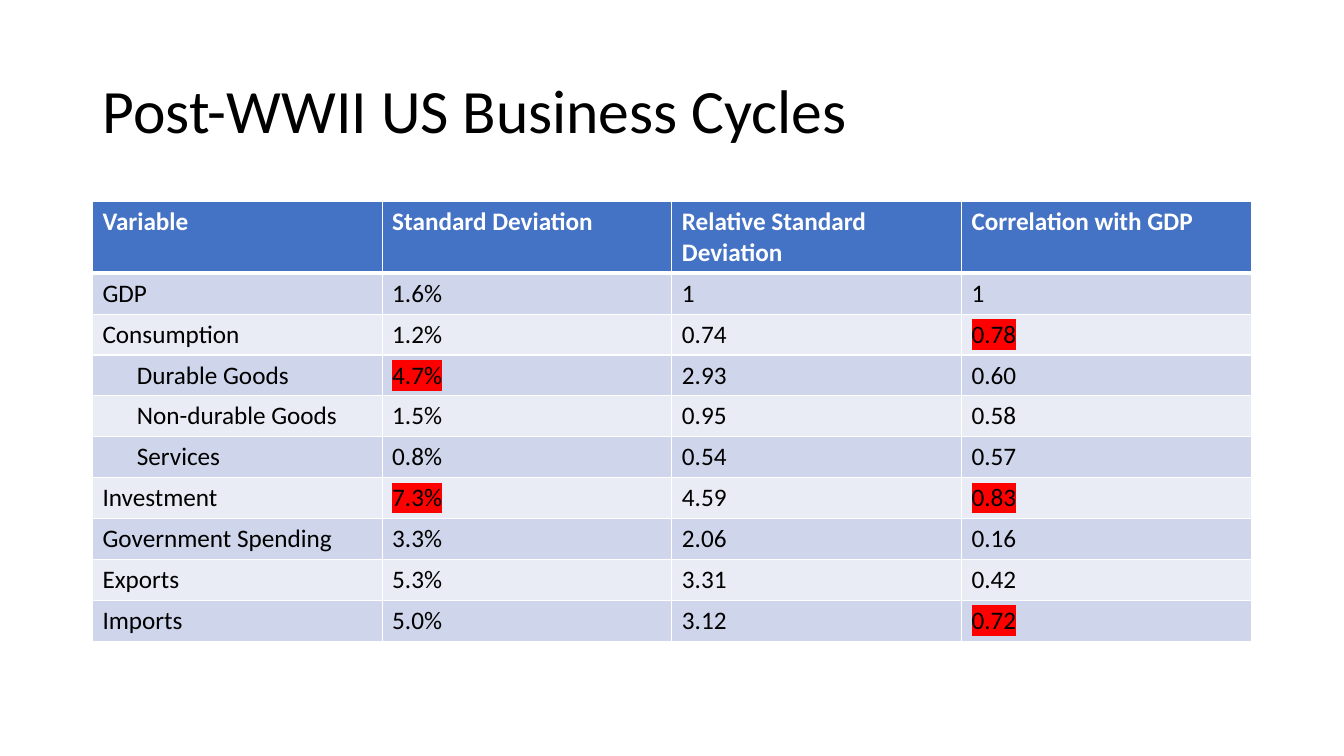
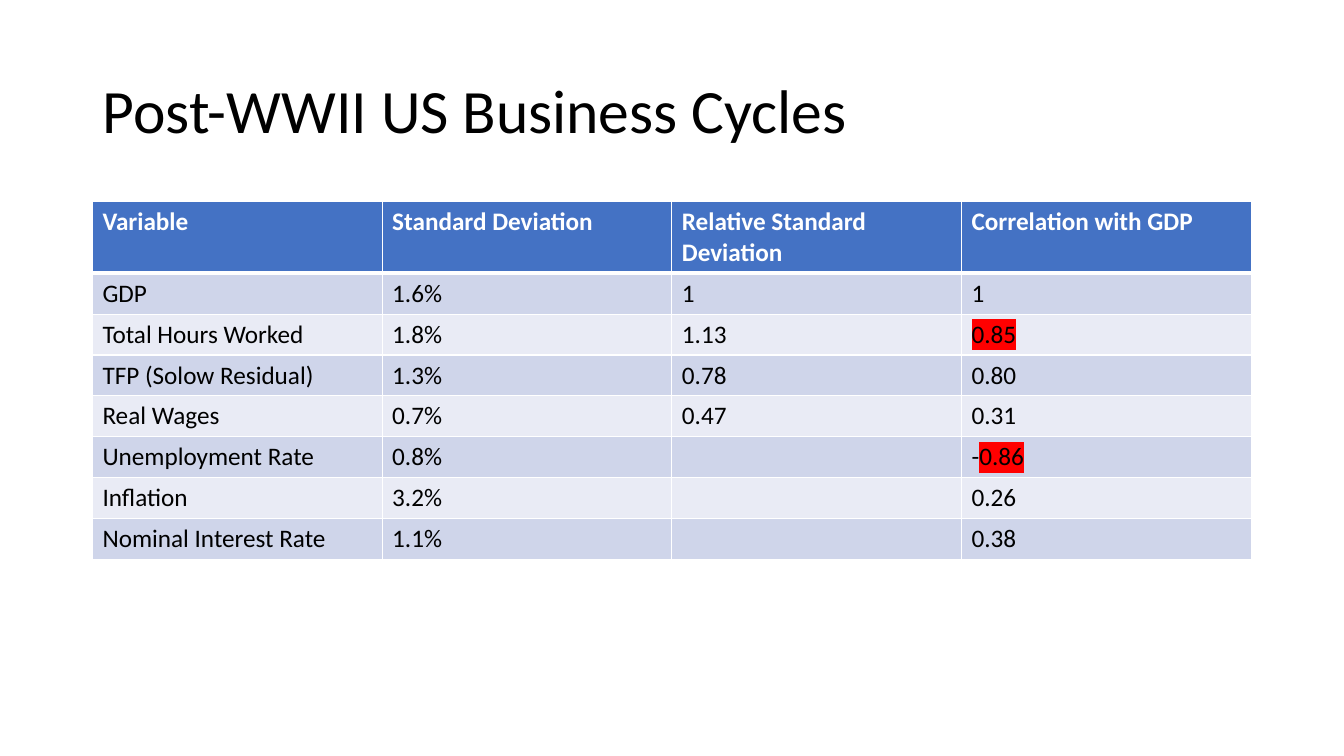
from dataclasses import dataclass

from lxml import etree
from pptx import Presentation
from pptx import util as u
from pptx.dml.color import RGBColor
from pptx.enum import text
from pptx.oxml.ns import qn

FONT = "Calibri"
BLACK, WHITE, RED = "000000", "FFFFFF", "FF0000"
HEADER_FILL = "4472C4"
BAND_FILLS = ("CFD5EA", "E9EBF5")

TITLE = "Post-WWII US Business Cycles"
HEADINGS = ("Variable", "Standard Deviation", "Relative Standard Deviation",
            "Correlation with GDP")

# Shared layout, in centimetres
LEFT, WIDTH = 2.33, 29.2
TITLE_TOP, TITLE_HEIGHT = 1.01, 3.68
TABLE_TOP, HEADER_HEIGHT, ROW_HEIGHT = 5.08, 1.75, 1.03
SUBITEM_MARGIN = 1.12


@dataclass(frozen=True)
class Marked:
    """A highlighted value, with an optional plain sign before it."""
    value: str
    sign: str = ""


@dataclass(frozen=True)
class Row:
    variable: str
    deviation: str | Marked
    relative: str
    correlation: str | Marked
    subitem: bool = False


GDP = Row("GDP", "1.6%", "1", "1")
COMPONENTS = (
    GDP,
    Row("Consumption", "1.2%", "0.74", Marked("0.78")),
    Row("Durable Goods", Marked("4.7%"), "2.93", "0.60", subitem=True),
    Row("Non-durable Goods", "1.5%", "0.95", "0.58", subitem=True),
    Row("Services", "0.8%", "0.54", "0.57", subitem=True),
    Row("Investment", Marked("7.3%"), "4.59", Marked("0.83")),
    Row("Government Spending", "3.3%", "2.06", "0.16"),
    Row("Exports", "5.3%", "3.31", "0.42"),
    Row("Imports", "5.0%", "3.12", Marked("0.72")),
)
LABOUR_AND_PRICES = (
    GDP,
    Row("Total Hours Worked", "1.8%", "1.13", Marked("0.85")),
    Row("TFP (Solow Residual)", "1.3%", "0.78", "0.80"),
    Row("Real Wages", "0.7%", "0.47", "0.31"),
    Row("Unemployment Rate", "0.8%", "", Marked("0.86", sign="-")),
    Row("Inflation", "3.2%", "", "0.26"),
    Row("Nominal Interest Rate", "1.1%", "", "0.38"),
)


def rgb(colour: str) -> RGBColor:
    return RGBColor.from_string(colour)


def set_font(paragraph, size: float, colour: str, bold: bool = False) -> None:
    font = paragraph.font
    font.name, font.size, font.bold = FONT, u.Pt(size), bold
    font.color.rgb = rgb(colour)


def add_solid(parent, tag: str, colour: str) -> None:
    """Append a colour-holding element such as a:solidFill or a:highlight."""
    holder = etree.SubElement(parent, qn(tag))
    etree.SubElement(holder, qn("a:srgbClr"), val=colour)


def set_borders(cell, top: float, bottom: float) -> None:
    properties = cell._tc.get_or_add_tcPr()
    widths = {"a:lnL": 1, "a:lnR": 1, "a:lnT": top, "a:lnB": bottom}
    for tag, width in widths.items():
        line = etree.SubElement(properties, qn(tag), w=str(u.Pt(width)))
        add_solid(line, "a:solidFill", WHITE)


def fill_cell(cell, content: str | Marked, row_index: int) -> None:
    header = row_index == 0
    # Borders come before the fill in the cell's XML
    set_borders(cell, top=3 if row_index == 1 else 1, bottom=3 if header else 1)
    cell.fill.solid()
    cell.fill.fore_color.rgb = rgb(
        HEADER_FILL if header else BAND_FILLS[(row_index - 1) % 2])

    paragraph = cell.text_frame.paragraphs[0]
    set_font(paragraph, 18, WHITE if header else BLACK, bold=header)
    if isinstance(content, Marked):
        if content.sign:
            paragraph.add_run().text = content.sign
        run = paragraph.add_run()
        run.text = content.value
        add_solid(run._r.get_or_add_rPr(), "a:highlight", RED)
    elif content:
        paragraph.add_run().text = content


def add_title(slide) -> None:
    title = slide.shapes.title
    title.left, title.top = u.Cm(LEFT), u.Cm(TITLE_TOP)
    title.width, title.height = u.Cm(WIDTH), u.Cm(TITLE_HEIGHT)
    frame = title.text_frame
    frame.text = TITLE
    frame.auto_size = text.MSO_AUTO_SIZE.NONE
    frame.vertical_anchor = text.MSO_ANCHOR.MIDDLE
    paragraph = frame.paragraphs[0]
    paragraph.alignment = text.PP_ALIGN.LEFT
    paragraph.line_spacing = 0.9
    set_font(paragraph, 44, BLACK)


def add_statistics(slide, rows: tuple[Row, ...]) -> None:
    height = HEADER_HEIGHT + len(rows) * ROW_HEIGHT
    table = slide.shapes.add_table(
        len(rows) + 1, len(HEADINGS), u.Cm(LEFT), u.Cm(TABLE_TOP),
        u.Cm(WIDTH), u.Cm(height)).table
    for index, table_row in enumerate(table.rows):
        table_row.height = u.Cm(ROW_HEIGHT if index else HEADER_HEIGHT)

    for column, heading in enumerate(HEADINGS):
        fill_cell(table.cell(0, column), heading, 0)
    for index, row in enumerate(rows, start=1):
        contents = (row.variable, row.deviation, row.relative, row.correlation)
        for column, content in enumerate(contents):
            fill_cell(table.cell(index, column), content, index)
        if row.subitem:
            table.cell(index, 0).margin_left = u.Cm(SUBITEM_MARGIN)


def main() -> None:
    presentation = Presentation()
    presentation.slide_width = u.Cm(33.87)
    presentation.slide_height = u.Cm(19.05)
    title_only = presentation.slide_layouts[5]
    for rows in (COMPONENTS, LABOUR_AND_PRICES):
        slide = presentation.slides.add_slide(title_only)
        add_title(slide)
        add_statistics(slide, rows)
    presentation.save("out.pptx")


if __name__ == "__main__":
    main()
